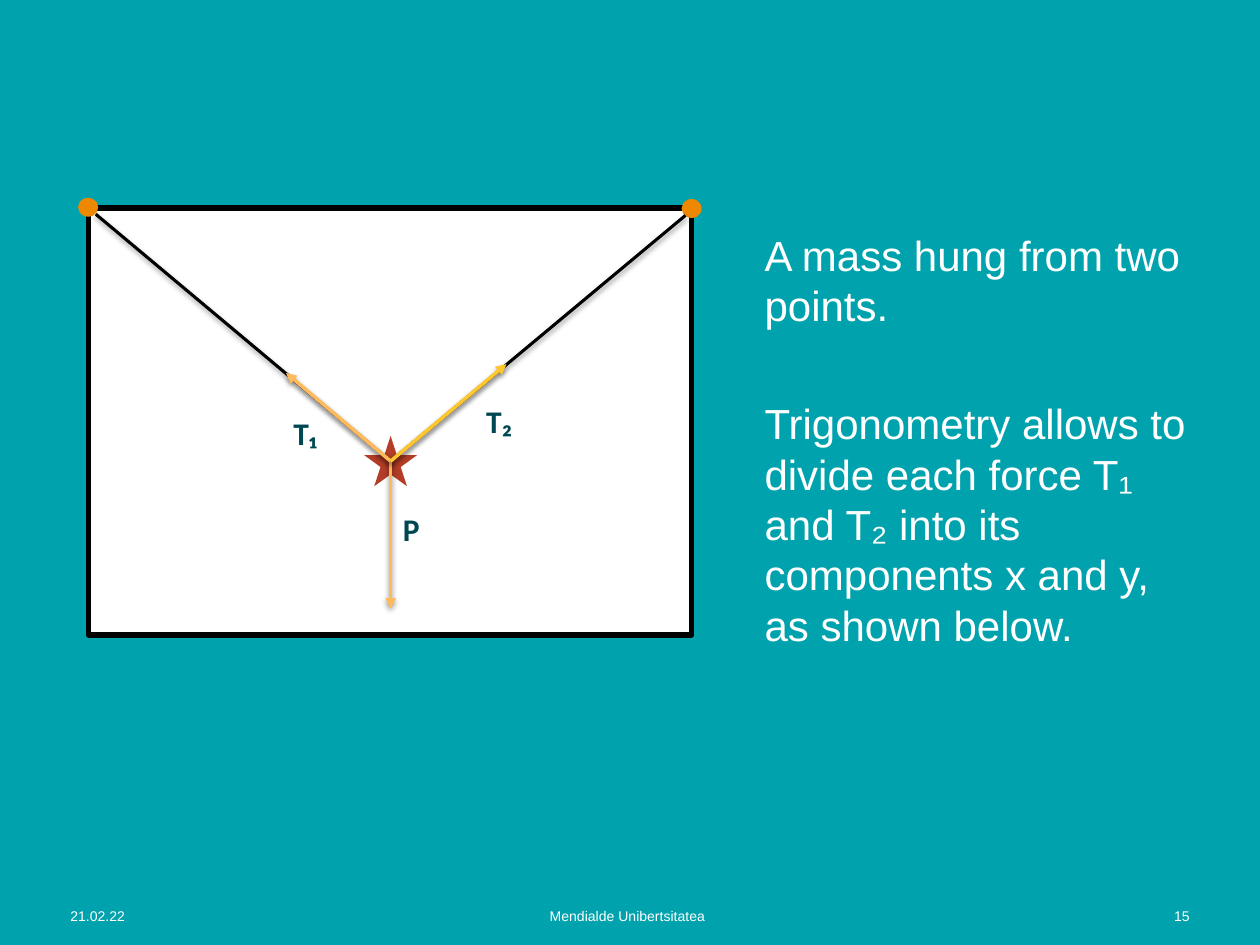
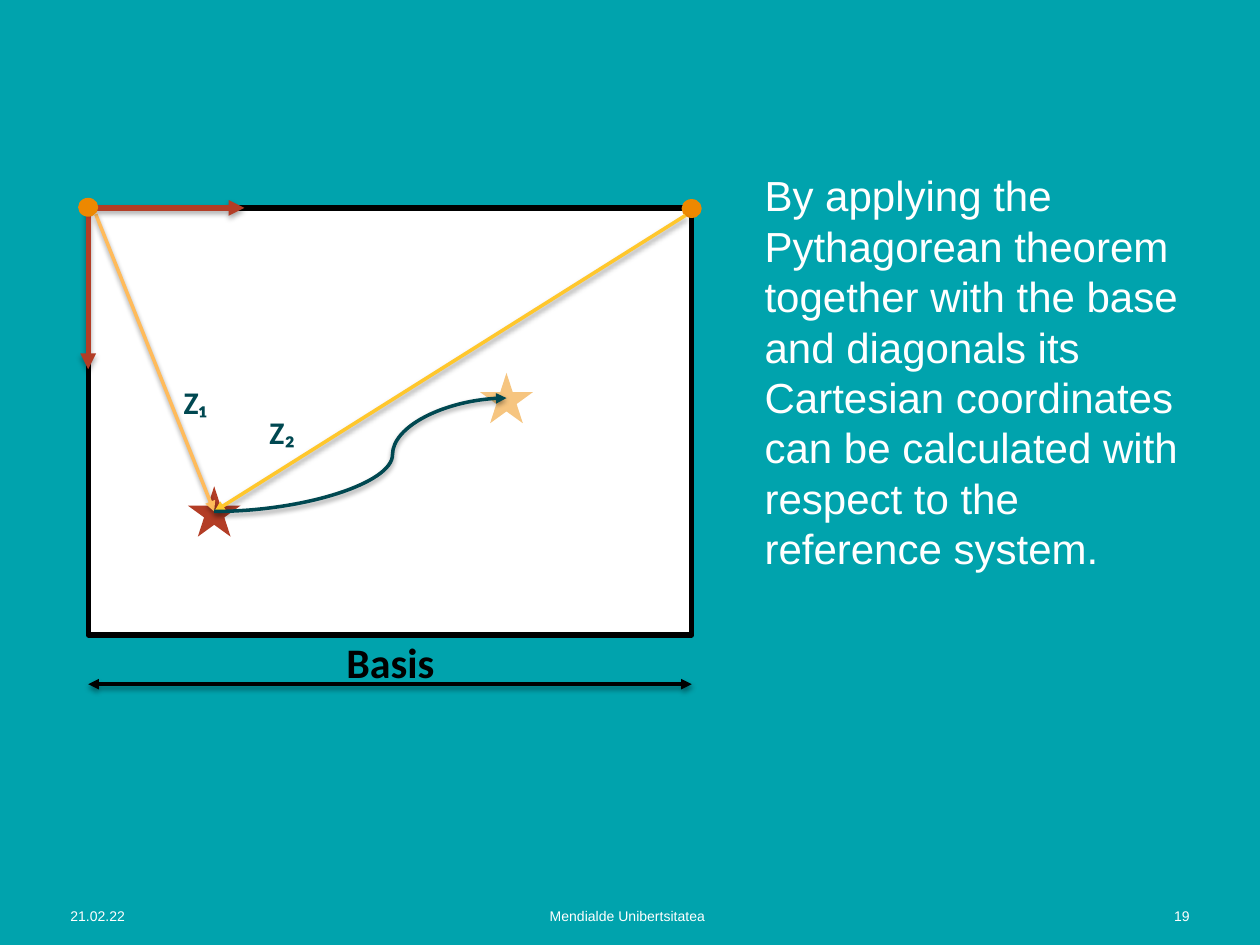
from lxml import etree
from pptx import Presentation
from pptx import util as u
from pptx.dml.color import RGBColor
from pptx.enum import shapes, text
from pptx.oxml import ns

TEAL = RGBColor(0x00, 0xA3, 0xAD)
DARK_TEAL = RGBColor(0x00, 0x48, 0x51)
WHITE = RGBColor(0xFF, 0xFF, 0xFF)
BLACK = RGBColor(0x00, 0x00, 0x00)
ORANGE = RGBColor(0xED, 0x88, 0x00)
RED = RGBColor(0xB3, 0x3D, 0x26)
PALE_ORANGE = RGBColor(0xF6, 0xC5, 0x80)
APRICOT = RGBColor(0xFF, 0xBB, 0x5B)
YELLOW = RGBColor(0xFF, 0xC7, 0x2C)

# Frame and the two points the mass hangs from
LEFT, TOP, WIDTH, HEIGHT = 0.7, 1.65, 4.79, 3.39
RIGHT = LEFT + WIDTH
LEFT_DOT, RIGHT_DOT = (0.7, 1.645), (5.49, 1.655)
LEFT_HOOK, RIGHT_HOOK = (0.76, 1.7), (5.44, 1.71)


class Builder:
    """Holds the shared style and the current slide."""

    def __init__(self):
        self.deck = Presentation()
        self.deck.slide_width = u.Inches(10)
        self.deck.slide_height = u.Inches(7.5)
        fill = self.deck.slide_master.background.fill
        fill.solid()
        fill.fore_color.rgb = TEAL
        self.page = None

    def new_page(self, number):
        self.page = self.deck.slides.add_slide(self.deck.slide_layouts[6])
        align = text.PP_ALIGN
        footers = [
            ("21.02.22", 0.46, 1.33, align.LEFT),
            ("Mendialde Unibertsitatea", 2.37, 5.22, align.CENTER),
            (str(number), 8.26, 1.28, align.RIGHT),
        ]
        for words, left, width, side in footers:
            box = self.text([words], left, 7.07, width, 0.4, 8, WHITE, align=side)
            box.text_frame.vertical_anchor = text.MSO_ANCHOR.MIDDLE

    def text(self, lines, left, top, width, height, size, color,
             font="Arial", bold=False, align=text.PP_ALIGN.LEFT):
        box = self.page.shapes.add_textbox(
            *map(u.Inches, (left, top, width, height)))
        frame = box.text_frame
        frame.word_wrap = True
        for index, words in enumerate(lines):
            para = frame.paragraphs[0] if index == 0 else frame.add_paragraph()
            para.text = words
            para.alignment = align
            para.font.size = u.Pt(size)
            para.font.name = font
            para.font.bold = bold
            para.font.color.rgb = color
        return box

    def body(self, lines, margin_top=0.05):
        box = self.text(lines, 5.97, 1.3, 3.57, 5.36, 24, WHITE)
        box.text_frame.margin_top = u.Inches(margin_top)
        for index, para in enumerate(box.text_frame.paragraphs):
            para.line_spacing = u.Pt(28.8)
            para.space_before = u.Pt(38.6 if index else 0)

    def label(self, words, left, top, width=0.53, height=0.4, size=18,
              color=DARK_TEAL):
        self.text([words], left, top, width, height, size, color, "Calibri", True)

    def shape(self, kind, left, top, width, height, fill):
        shape = self.page.shapes.add_shape(
            kind, *map(u.Inches, (left, top, width, height)))
        shape.shadow.inherit = False
        shape.fill.solid()
        shape.fill.fore_color.rgb = fill
        shape.line.fill.background()
        return shape

    def frame(self):
        frame = self.shape(shapes.MSO_SHAPE.RECTANGLE,
                           LEFT, TOP, WIDTH, HEIGHT, WHITE)
        frame.line.color.rgb = BLACK
        frame.line.width = u.Pt(3)

    def dot(self, center):
        x, y = center
        self.shape(shapes.MSO_SHAPE.OVAL, x - 0.08, y - 0.075, 0.16, 0.15, ORANGE)

    def star(self, x, y, color):
        self.shape(shapes.MSO_SHAPE.STAR_5_POINT,
                   x - 0.21, y - 0.2, 0.42, 0.4, color)

    def line(self, start, end, color, width=2, head=False, tail=True,
             bend=None, opacity=38, drop=1.6):
        kinds = shapes.MSO_CONNECTOR
        line = self.page.shapes.add_connector(
            kinds.STRAIGHT if bend is None else kinds.CURVE,
            *map(u.Inches, (*start, *end)))
        line.line.color.rgb = color
        line.line.width = u.Pt(width)
        properties = line.element.spPr

        # Arrowheads
        outline = properties.find(ns.qn("a:ln"))
        for wanted, tag in ((head, "a:headEnd"), (tail, "a:tailEnd")):
            if wanted:
                etree.SubElement(outline, ns.qn(tag), type="triangle")

        # Position of the bend in a curve
        if bend is not None:
            guides = properties.find(".//" + ns.qn("a:avLst"))
            etree.SubElement(guides, ns.qn("a:gd"), name="adj1",
                             fmla=f"val {round(bend * 100000)}")

        # Soft shadow straight below
        effects = etree.SubElement(properties, ns.qn("a:effectLst"))
        shadow = etree.SubElement(
            effects, ns.qn("a:outerShdw"), blurRad=str(u.Pt(3.1)),
            dist=str(u.Pt(drop)), dir="5400000", rotWithShape="0")
        tint = etree.SubElement(shadow, ns.qn("a:srgbClr"), val="000000")
        etree.SubElement(tint, ns.qn("a:alpha"), val=str(opacity * 1000))


def forces_page(build):
    build.new_page(15)
    build.body([
        "A mass hung from two points.",
        "Trigonometry allows to divide each force T₁ and T₂ into its "
        "components x and y, as shown below.",
    ], margin_top=0.52)

    # Mass on its two strings
    mass = (3.1, 3.66)
    build.frame()
    build.dot(RIGHT_DOT)
    build.star(*mass, RED)
    for hook in (LEFT_HOOK, RIGHT_HOOK):
        build.line(mass, hook, BLACK, 1.75, tail=False)
    build.dot(LEFT_DOT)

    # Forces
    build.label("T₁", 2.23, 3.24)
    build.label("T₂", 3.76, 3.14)
    build.label("P", 3.1, 4)
    build.line(mass, (3.1, 4.83), APRICOT)
    build.line(mass, (2.27, 2.96), APRICOT)
    build.line(mass, (4.02, 2.89), YELLOW)


def coordinates_page(build):
    build.new_page(19)
    build.body([
        "By applying the Pythagorean theorem together with the base and "
        "diagonals its Cartesian coordinates can be calculated with respect "
        "to the reference system.",
    ])

    # Mass now and at its target
    mass, target = (1.7, 4.06), (4.02, 3.16)
    build.frame()
    build.dot(RIGHT_DOT)
    build.star(*mass, RED)
    build.star(*target, PALE_ORANGE)

    # Diagonals
    build.line(LEFT_HOOK, mass, APRICOT)
    build.line(RIGHT_HOOK, mass, YELLOW)
    build.label("Z₁", 1.36, 2.99)
    build.label("Z₂", 2.04, 3.23)

    # Base length
    build.line((LEFT, 5.43), (RIGHT, 5.43), BLACK, head=True)
    build.label("Basis", 2.65, 5, 1.02, 0.5, 24, BLACK)

    # Axes of the reference system
    for start, end in (((LEFT, 1.62), (LEFT, 2.93)), ((0.68, TOP), (1.94, TOP))):
        build.line(start, end, RED, 3, opacity=35, drop=1.8)
    build.dot(LEFT_DOT)

    # Way to the target
    build.line(mass, target, DARK_TEAL, bend=0.61)


def main():
    build = Builder()
    forces_page(build)
    coordinates_page(build)
    build.deck.save("out.pptx")


if __name__ == "__main__":
    main()
